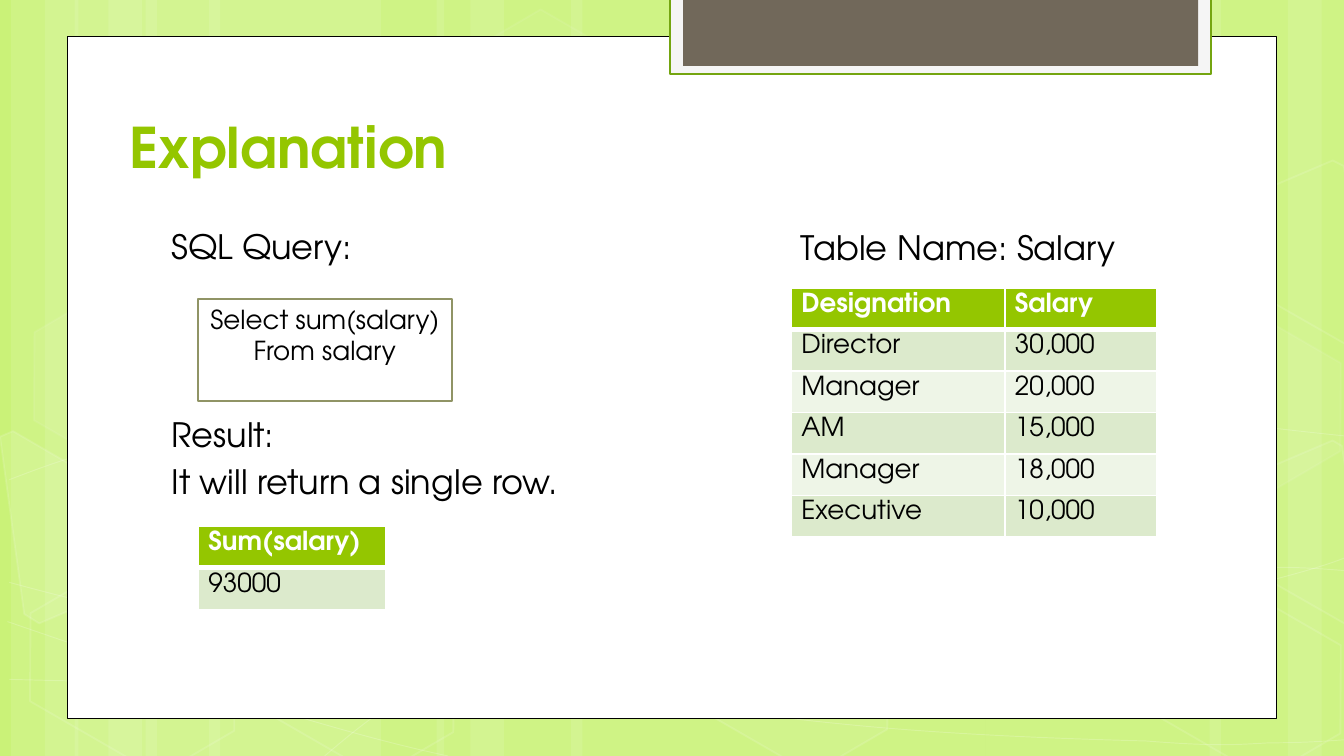
"""Build a slide that explains an SQL sum query with its source table and result."""
from lxml import etree
from pptx import Presentation
from pptx import util as u
from pptx.dml.color import RGBColor
from pptx.enum import shapes, text
from pptx.oxml.ns import qn

FONT = "TeX Gyre Adventor"
WHITE, BLACK, GREEN = "FFFFFF", "000000", "94C600"
ROW_FILLS = ["EEF5E7", "DCEACC"]
ROW_HEIGHT = 21.8


def paint(fill, color, opacity=100):
    if color is None:
        fill.background()
        return
    fill.solid()
    fill.fore_color.rgb = RGBColor.from_string(color)
    if opacity < 100:
        tint = fill._xPr.find(qn("a:solidFill"))[0]
        etree.SubElement(tint, qn("a:alpha"), val=str(opacity * 1000))


def write(owner, wording, size=14, color=BLACK, bold=False, align=text.PP_ALIGN.LEFT,
          anchor=text.MSO_ANCHOR.TOP, left=5.4, top=2.7, gaps=()):
    frame = owner.text_frame
    frame.word_wrap = True
    holder = owner if hasattr(owner, "margin_left") else frame
    holder.margin_left, holder.margin_right = u.Pt(left), u.Pt(5.4)
    holder.margin_top, holder.margin_bottom = u.Pt(top), u.Pt(2.7)
    holder.vertical_anchor = anchor
    for number, line in enumerate(wording.split("\n")):
        para = frame.add_paragraph() if number else frame.paragraphs[0]
        para.alignment = align
        if gaps:
            para.space_before = u.Pt(gaps[number])
        span = para.add_run()
        span.text = line
        span.font.name, span.font.size, span.font.bold = FONT, u.Pt(size), bold
        paint(span.font.fill, color)


deck = Presentation()
deck.slide_width, deck.slide_height = u.Pt(720), u.Pt(405)
page = deck.slides.add_slide(deck.slide_layouts[6])
paint(page.background.fill, "CAF278")

bands = [(78, 126), (6, 36), (24, 60), (112, 126), (40, 36), (58, 60),
         (528, 126), (690, 36), (648, 60), (306, 222), (234, 36), (252, 60)]
for left, width in bands:
    band = page.shapes.add_shape(shapes.MSO_SHAPE.RECTANGLE,
                                 u.Pt(left), 0, u.Pt(width), u.Pt(405))
    band.shadow.inherit = False
    paint(band.fill, WHITE, 10)
    paint(band.line.fill, None)

curves = [
    [(5, 364), (44, 365), (83, 366), (137, 366), (191, 365), (258, 364), (330, 359),
     (402, 354), (504, 343), (570, 333), (636, 323), (703, 307), (725, 297)],
    [(5, 257), (26, 249), (47, 241), (87, 233), (128, 225), (186, 213), (250, 209),
     (314, 205), (392, 204), (471, 209), (550, 213), (682, 230), (725, 234)],
    [(4, 333), (91, 363), (178, 392), (240, 405)],
    [(5, 312), (27, 318), (50, 324), (92, 333), (134, 341), (197, 354), (257, 364),
     (317, 372), (392, 382), (452, 388), (512, 394), (576, 396), (614, 397),
     (652, 400), (662, 399), (680, 398), (699, 398), (712, 397), (725, 396)],
    [(174, 405), (187, 394), (200, 383), (217, 373), (235, 363), (259, 352), (279, 345),
     (300, 338), (312, 334), (338, 329), (364, 323), (413, 315), (438, 312),
     (464, 308), (467, 309), (490, 307), (512, 306), (547, 305), (572, 304),
     (597, 303), (638, 304), (686, 304), (699, 304), (711, 305), (724, 306)],
]
outlines = [(curve, False, None, 0, 0.5, 20) for curve in curves] + [
    ([(0, 234), (7, 231), (62, 263), (68, 314), (21, 334), (13, 329)], True, WHITE, 10, 1, 12),
    ([(667, 256), (714, 236), (719, 239), (733, 337), (729, 339), (673, 307)],
     True, WHITE, 4, 1, 12),
    ([(667, 106), (714, 86), (720, 89), (733, 187), (729, 189), (673, 157)],
     True, None, 0, 1, 12),
]
for points, closed, color, opacity, weight, line_opacity in outlines:
    corners = [(u.Pt(x), u.Pt(y)) for x, y in points]
    builder = page.shapes.build_freeform(*corners[0])
    builder.add_line_segments(corners[1:], close=closed)
    outline = builder.convert_to_shape()
    outline.shadow.inherit = False
    paint(outline.fill, color, opacity)
    paint(outline.line.fill, WHITE, line_opacity)
    outline.line.width = u.Pt(weight)
    if not closed:
        segments = list(outline._element.iter(qn("a:lnTo")))
        for first, second, third in zip(segments[::3], segments[1::3], segments[2::3]):
            bend = etree.Element(qn("a:cubicBezTo"))
            first.addprevious(bend)
            for segment in (first, second, third):
                bend.append(segment[0])
                segment.getparent().remove(segment)

hexagons = [(240.5, 19.4, 4, 8), (357.8, 318.2, 6, 12), (7.9, 319, 0, 12), (10, 168.5, 7, 8),
            (125.3, 319.7, 0, 12), (600.5, 320.4, 0, 12), (600.5, 169.2, 7, 8)]
for left, top, opacity, line_opacity in hexagons:
    hexagon = page.shapes.add_shape(shapes.MSO_SHAPE.HEXAGON,
                                    u.Pt(left), u.Pt(top), u.Pt(126), u.Pt(82))
    hexagon.adjustments[0] = 0.285
    hexagon.rotation = 30
    hexagon.shadow.inherit = False
    paint(hexagon.fill, WHITE if opacity else None, opacity)
    paint(hexagon.line.fill, WHITE, line_opacity)
    hexagon.line.width = u.Pt(1)

panels = [(36, 19.5, 648, 365.3, WHITE, BLACK, 0.5),
          (359, -1.4, 289.8, 41.2, "F5F5F5", "74A510", 1.25),
          (366, -1.4, 275.9, 36.8, "71685A", None, 0),
          (106, 160.2, 136.2, 54.6, WHITE, "909465", 1.25)]
for left, top, width, height, color, edge, weight in panels:
    panel = page.shapes.add_shape(shapes.MSO_SHAPE.RECTANGLE,
                                  u.Pt(left), u.Pt(top), u.Pt(width), u.Pt(height))
    panel.shadow.inherit = False
    paint(panel.fill, color)
    paint(panel.line.fill, edge)
    if edge:
        panel.line.width = u.Pt(weight)
write(panel, "Select sum(salary)\nFrom salary", align=text.PP_ALIGN.CENTER, top=2.2)

labels = [
    (64, 45, 553, 54, "Explanation",
     dict(size=30, color=GREEN, bold=True, anchor=text.MSO_ANCHOR.BOTTOM)),
    (82, 118.3, 535, 226, "SQL Query:\nResult:\nIt will return a single row.",
     dict(size=18, left=9.9, gaps=(3.6, 79.2, 3.6))),
    (423.6, 118.6, 192.2, 27.4, "Table Name: Salary", dict(size=18)),
]
for left, top, width, height, wording, style in labels:
    box = page.shapes.add_textbox(u.Pt(left), u.Pt(top), u.Pt(width), u.Pt(height))
    write(box, wording, **style)

tables = [
    (423.9, 154.4, [114.4, 81.4],
     [("Designation", "Salary"), ("Director", "30,000"), ("Manager", "20,000"),
      ("AM", "15,000"), ("Manager", "18,000"), ("Executive", "10,000")]),
    (106.2, 282, [100.5], [("Sum(salary)",), ("93000",)]),
]
for left, top, widths, rows in tables:
    table = page.shapes.add_table(len(rows), len(widths), u.Pt(left), u.Pt(top),
                                  u.Pt(sum(widths)), u.Pt(ROW_HEIGHT * len(rows))).table
    for column, width in zip(table.columns, widths):
        column.width = u.Pt(width)
    for r, values in enumerate(rows):
        for c, value in enumerate(values):
            cell = table.cell(r, c)
            header = r == 0
            write(cell, value, color=WHITE if header else BLACK, bold=header)
            for side in ("lnL", "lnR", "lnT", "lnB"):
                thick = (r, side) in [(0, "lnB"), (1, "lnT")]
                border = etree.SubElement(cell._tc.get_or_add_tcPr(), qn("a:" + side),
                                          w=str(u.Pt(3 if thick else 1)))
                solid = etree.SubElement(border, qn("a:solidFill"))
                etree.SubElement(solid, qn("a:srgbClr"), val=WHITE)
            paint(cell.fill, GREEN if header else ROW_FILLS[r % 2])

deck.save("out.pptx")
